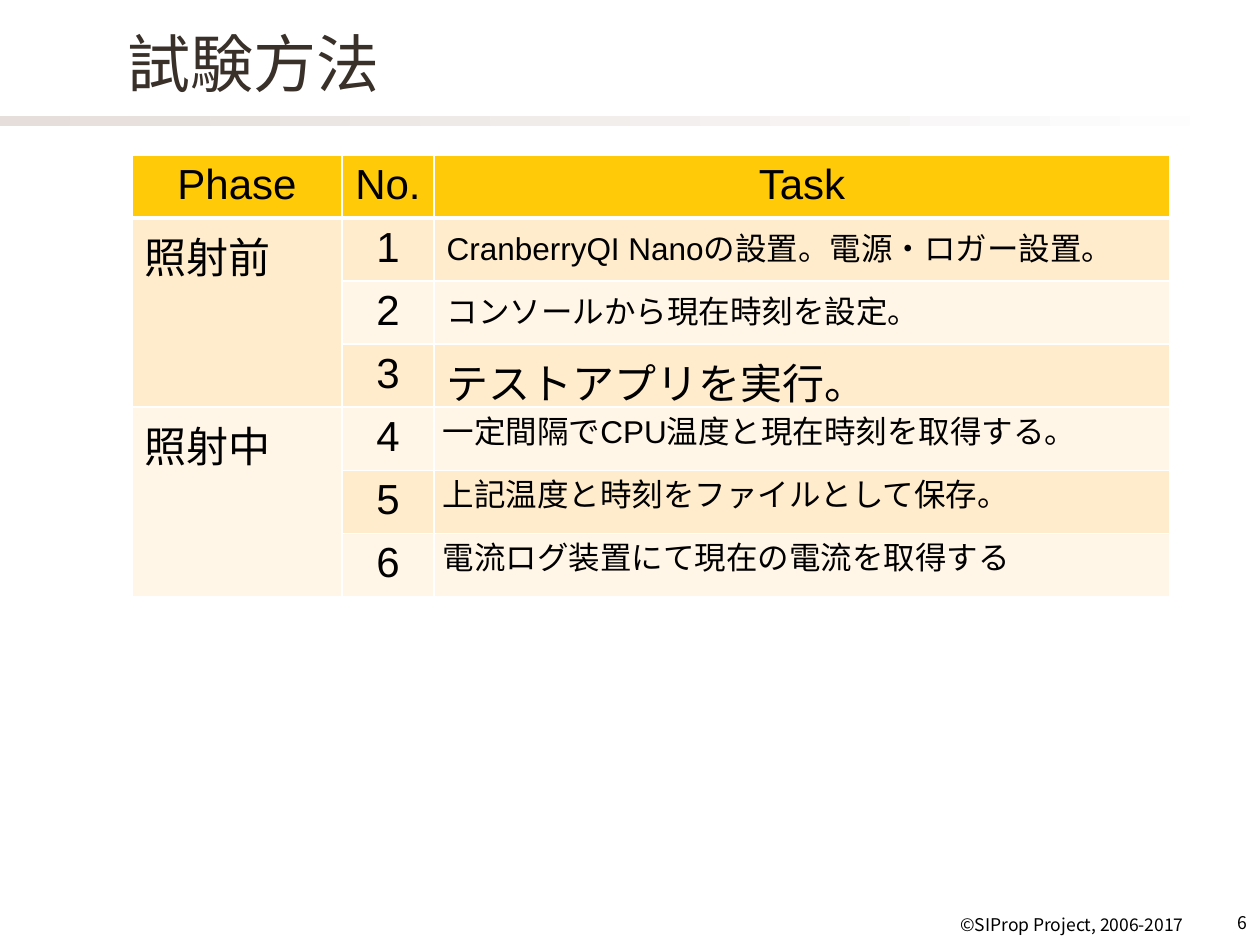
from lxml import etree
from pptx import Presentation
from pptx import util as u
from pptx.dml.color import RGBColor
from pptx.enum import shapes, text
from pptx.oxml import ns

SCALE = 914400 // 126
LEFT, CENTER, RIGHT, JUSTIFY = (
    text.PP_ALIGN.LEFT, text.PP_ALIGN.CENTER, text.PP_ALIGN.RIGHT, text.PP_ALIGN.JUSTIFY)
HEADER, DARK_BAND, LIGHT_BAND = "FFCA08", "FFECCC", "FFF6E7"


def px(length):
    return u.Emu(length * SCALE)


def color(code):
    return RGBColor.from_string(code)


class SlideBuilder:
    cjk = "Noto Sans CJK JP"
    latin = "Arial"
    ink = "000000"

    def __init__(self, slide):
        self.slide = slide

    def set_words(self, frame, words, size, align, face, ink=None):
        paragraph = frame.paragraphs[0]
        paragraph.text = words
        paragraph.alignment = align
        font = paragraph.font
        font.size = u.Pt(size)
        font.name = face
        font.color.rgb = color(ink or self.ink)
        defaults = paragraph._p.pPr.find(ns.qn("a:defRPr"))
        etree.SubElement(defaults, ns.qn("a:ea"), typeface=self.cjk)

    def label(self, box, words, size, align, ink=None, anchor=text.MSO_ANCHOR.TOP):
        frame = self.slide.shapes.add_textbox(*map(px, box)).text_frame
        frame.word_wrap = True
        frame.vertical_anchor = anchor
        self.set_words(frame, words, size, align, self.cjk, ink)

    def fading_bar(self, box, start, end):
        bar = self.slide.shapes.add_shape(shapes.MSO_SHAPE.RECTANGLE, *map(px, box))
        bar.shadow.inherit = False
        bar.line.fill.background()
        bar.fill.gradient()
        bar.fill.gradient_angle = 0
        for stop, code in zip(bar.fill.gradient_stops, (start, end)):
            stop.color.rgb = color(code)

    def table(self, left, top, widths, row_height, rows):
        grid = self.slide.shapes.add_table(
            rows, len(widths), px(left), px(top), px(sum(widths)), px(row_height * rows)).table
        for column, width in zip(grid.columns, widths):
            column.width = px(width)
        for row in grid.rows:
            row.height = px(row_height)
        return grid

    def cell(self, cell, words, fill, size=24, align=LEFT, bottom=1, top=1):
        props = cell._tc.get_or_add_tcPr()
        for side, points in (("L", 1), ("R", 1), ("T", top), ("B", bottom)):
            line = etree.SubElement(props, ns.qn(f"a:ln{side}"), w=str(u.Pt(points)))
            solid = etree.SubElement(line, ns.qn("a:solidFill"))
            etree.SubElement(solid, ns.qn("a:srgbClr"), val="FFFFFF")
        cell.fill.solid()
        cell.fill.fore_color.rgb = color(fill)
        self.set_words(cell.text_frame, words, size, align, self.latin)


def main():
    deck = Presentation()
    deck.slide_width, deck.slide_height = px(1260), px(945)
    page = SlideBuilder(deck.slides.add_slide(deck.slide_layouts[6]))

    page.fading_bar((0, 116, 1260, 10), "E5DEDB", "FFFFFF")
    page.label((640, 908, 556, 40), "©SIProp Project, 2006-2017", 10, RIGHT)
    page.label((1200, 906, 60, 39), "6", 10, RIGHT)
    page.label((115, 0, 1071, 125), "試験方法", 36, LEFT, "39302A", text.MSO_ANCHOR.MIDDLE)

    phases = ["照射前", "照射中"]
    tasks = [
        ("CranberryQI Nanoの設置。電源・ロガー設置。", 18, JUSTIFY),
        ("コンソールから現在時刻を設定。", 18, LEFT),
        ("テストアプリを実行。", 24, LEFT),
        ("一定間隔でCPU温度と現在時刻を取得する。", 18, JUSTIFY),
        ("上記温度と時刻をファイルとして保存。", 18, JUSTIFY),
        ("電流ログ装置にて現在の電流を取得する", 18, JUSTIFY),
    ]
    per_phase = len(tasks) // len(phases)
    plan = page.table(132, 155, (210, 92, 736), 52, len(tasks) + 1)

    for column, heading in enumerate(("Phase", "No.", "Task")):
        page.cell(plan.cell(0, column), heading, HEADER, align=CENTER, bottom=3)

    for number, (task, size, align) in enumerate(tasks, 1):
        band = DARK_BAND if number % 2 else LIGHT_BAND
        top = 3 if number == 1 else 1
        phase, step = divmod(number - 1, per_phase)
        if step == 0:
            first = plan.cell(number, 0)
            first.merge(plan.cell(number + per_phase - 1, 0))
            page.cell(first, phases[phase], band, top=top)
        page.cell(plan.cell(number, 1), str(number), band, align=CENTER, top=top)
        task_cell = plan.cell(number, 2)
        page.cell(task_cell, task, band, size, align, top=top)
        if phase == 1:
            task_cell.margin_left = task_cell.margin_right = px(9)
            task_cell.margin_top = task_cell.margin_bottom = 0

    deck.save("out.pptx")


if __name__ == "__main__":
    main()
